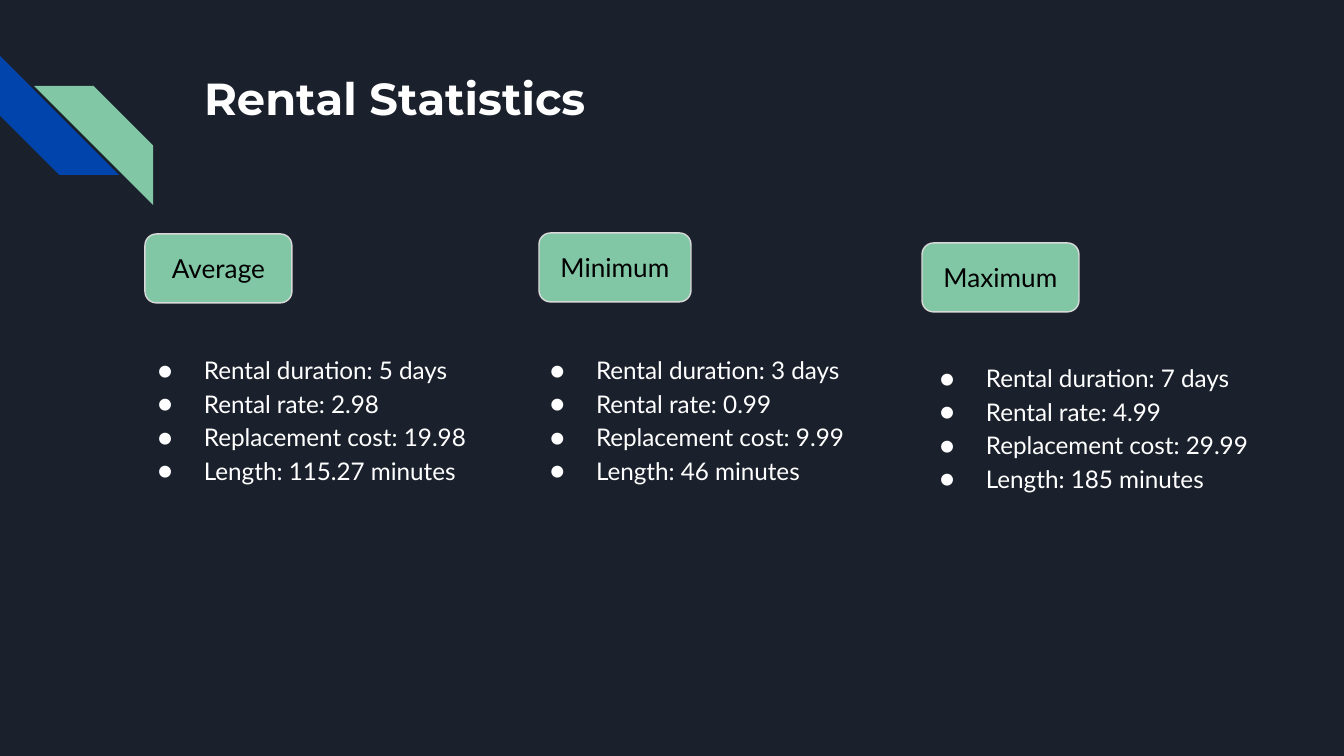
from lxml import etree
from pptx import Presentation
from pptx import util as u
from pptx.dml.color import RGBColor
from pptx.enum import shapes, text
from pptx.oxml.ns import qn

NAVY = RGBColor(0x1B, 0x21, 0x2C)
BLUE = RGBColor(0x01, 0x45, 0xAC)
GREEN = RGBColor(0x82, 0xC7, 0xA5)
GREY = RGBColor(0xD9, 0xD9, 0xD9)
WHITE = RGBColor(0xFF, 0xFF, 0xFF)
BLACK = RGBColor(0, 0, 0)

PX = 914400 / 134.4
SLIDE_SIZE = 1344, 756
INSET = 13
LABEL_HEIGHT = 69


def px(*lengths):
    return [u.Emu(round(length * PX)) for length in lengths]


class StatsSlide:
    heading = {"name": "Montserrat", "size": u.Pt(24), "bold": True}
    label_font = {"name": "Lato", "size": u.Pt(14)}
    list_font = {"name": "Lato", "size": u.Pt(13)}

    def __init__(self, prs):
        self.slide = prs.slides.add_slide(prs.slide_layouts[5])
        fill = self.slide.background.fill
        fill.solid()
        fill.fore_color.rgb = NAVY

    def frame(self, shape, anchor):
        frame = shape.text_frame
        inset, = px(INSET)
        settings = {"word_wrap": True, "auto_size": text.MSO_AUTO_SIZE.NONE,
                    "vertical_anchor": anchor, "margin_left": inset,
                    "margin_right": inset, "margin_top": inset,
                    "margin_bottom": inset}
        for key, value in settings.items():
            setattr(frame, key, value)
        return frame

    def add_words(self, paragraph, words, style, color, align):
        paragraph.alignment = align
        run = paragraph.add_run()
        run.text = words
        for key, value in style.items():
            setattr(run.font, key, value)
        run.font.color.rgb = color

    def title(self, words, *box):
        title = self.slide.shapes.title
        title.left, title.top, title.width, title.height = px(*box)
        frame = self.frame(title, text.MSO_ANCHOR.TOP)
        self.add_words(frame.paragraphs[0], words, self.heading, WHITE, text.PP_ALIGN.LEFT)

    def block(self, kind, color, *box):
        shape = self.slide.shapes.add_shape(kind, *px(*box))
        shape.shadow.inherit = False
        shape.fill.solid()
        shape.fill.fore_color.rgb = color
        return shape

    def stripe(self, color, left, top, side, rotation):
        stripe = self.block(shapes.MSO_SHAPE.DIAGONAL_STRIPE, color, left, top, side, side)
        stripe.rotation = rotation
        stripe.line.fill.background()

    def label(self, words, *box):
        label = self.block(shapes.MSO_SHAPE.FLOWCHART_ALTERNATE_PROCESS, GREEN, *box)
        label.line.color.rgb = GREY
        label.line.width = u.Pt(0.75)
        frame = self.frame(label, text.MSO_ANCHOR.MIDDLE)
        self.add_words(frame.paragraphs[0], words, self.label_font, BLACK, text.PP_ALIGN.CENTER)

    def bullets(self, lines, *box):
        frame = self.frame(self.slide.shapes.add_textbox(*px(*box)), text.MSO_ANCHOR.TOP)
        margin, indent = px(67, -46)
        for i, line in enumerate(lines):
            paragraph = frame.add_paragraph() if i else frame.paragraphs[0]
            paragraph.line_spacing = 1.15
            props = paragraph._p.get_or_add_pPr()
            props.set("marL", str(margin))
            props.set("indent", str(indent))
            color = etree.SubElement(props, qn("a:buClr"))
            etree.SubElement(color, qn("a:srgbClr"), val=str(WHITE))
            etree.SubElement(props, qn("a:buFont"), typeface="Lato")
            etree.SubElement(props, qn("a:buChar"), char="●")
            self.add_words(paragraph, line, self.list_font, WHITE, text.PP_ALIGN.LEFT)


def main():
    prs = Presentation()
    prs.slide_width, prs.slide_height = px(*SLIDE_SIZE)
    stats = StatsSlide(prs)

    # Corner stripes and heading
    stats.stripe(BLUE, 0, 56, 119, 270)
    stats.stripe(GREEN, 34, 86, 119, 90)
    stats.title("Rental Statistics", 191, 58, 1035, 134)

    # Statistic columns: label and its box, values, list box
    columns = [
        ("Average", (145, 234, 147), ("5 days", "2.98", "19.98", "115.27 minutes"), (124, 338, 376)),
        ("Minimum", (539, 233, 152), ("3 days", "0.99", "9.99", "46 minutes"), (516, 338, 344)),
        ("Maximum", (922, 243, 157), ("7 days", "4.99", "29.99", "185 minutes"), (906, 346, 360)),
    ]
    measures = "Rental duration", "Rental rate", "Replacement cost", "Length"
    for statistic, label_box, values, list_box in columns:
        lines = [f"{measure}: {value}" for measure, value in zip(measures, values)]
        stats.bullets(lines, *list_box, 298)
        stats.label(statistic, *label_box, LABEL_HEIGHT)

    prs.save("out.pptx")


if __name__ == "__main__":
    main()
